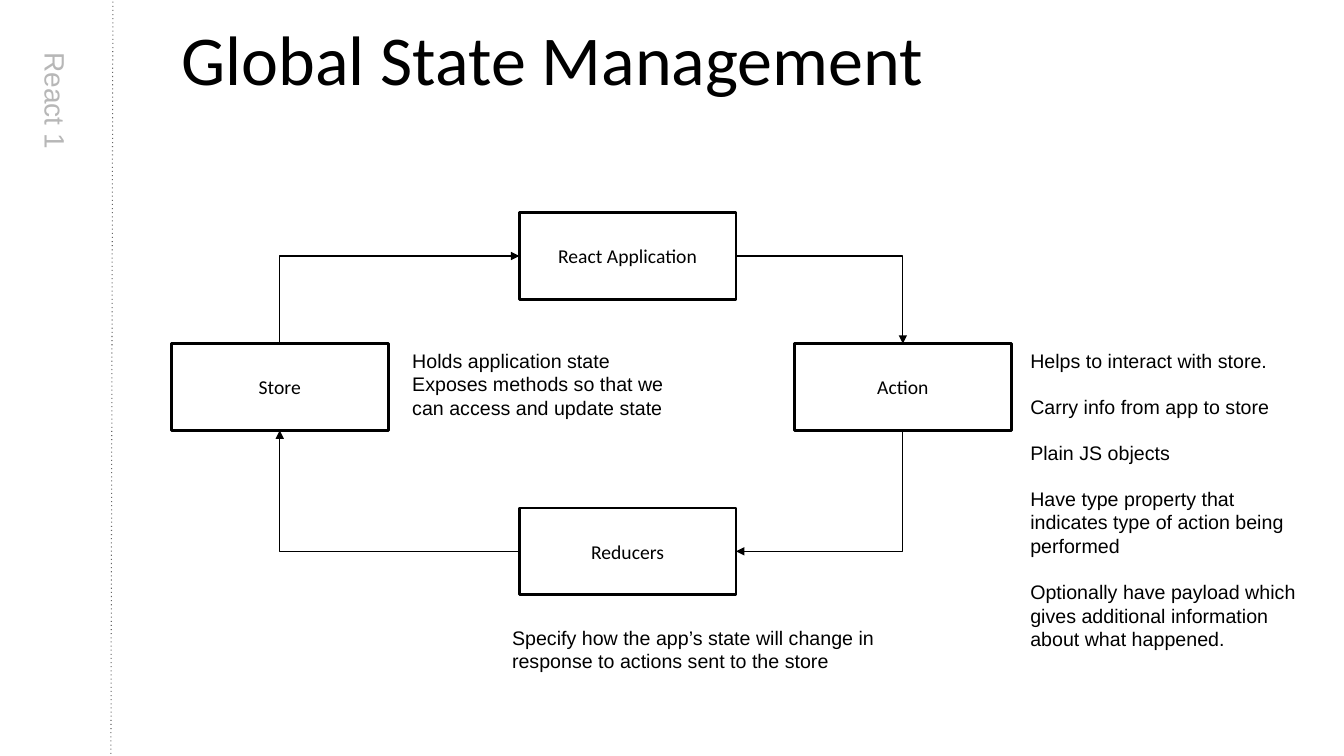
from dataclasses import dataclass

from lxml.etree import SubElement
from pptx import Presentation
from pptx.dml.color import RGBColor as RGB
from pptx.enum.shapes import MSO_CONNECTOR as CONN, MSO_SHAPE as SHAPE
from pptx.enum.text import MSO_ANCHOR as ANCHOR, PP_ALIGN as ALIGN
from pptx.oxml.ns import qn
from pptx.util import Inches, Pt

# Content
TITLE = "Global State Management"
SIDE_LABEL = "React 1"
BOXES = {  # name: (left, top)
    "React Application": (5.15, 2.11),
    "Action": (7.88, 3.41),
    "Reducers": (5.15, 5.04),
    "Store": (1.7, 3.41),
}
BOX_W, BOX_H = 2.15, 0.86
NOTES = [  # (left, top, width, height), gap between paragraphs in points, paragraphs
    ((4.98, 6.16, 4.45, 0.57), 0, [
        "Specify how the app’s state will change in response to actions sent to the store",
    ]),
    ((3.99, 3.41, 2.92, 0.81), 0, [
        "Holds application state",
        "Exposes methods so that we can access and update state",
    ]),
    ((10.12, 3.41, 2.92, 3.64), 16.1, [
        "Helps to interact with store.",
        "Carry info from app to store",
        "Plain JS objects",
        "Have type property that indicates type of action being performed",
        "Optionally have payload which gives additional information about what happened.",
    ]),
]
TOP, LEFT, BOTTOM, RIGHT = range(4)  # connection sites of a rectangle
EXITS = [RIGHT, BOTTOM, LEFT, TOP]  # side each box is left by, clockwise
ENTRIES = [TOP, RIGHT, BOTTOM, LEFT]  # side the next box is entered by


@dataclass(frozen=True)
class Theme:
    ink: RGB = RGB(0, 0, 0)
    paper: RGB = RGB(255, 255, 255)
    muted: RGB = RGB(0xB7, 0xB7, 0xB7)
    rule: RGB = RGB(0x66, 0x66, 0x66)
    heading_font: str = "Calibri"
    body_font: str = "Arial"
    title_size: int = 50
    side_size: int = 20
    text_size: int = 14


T = Theme()


def set_font(p, name, size, color=T.ink):
    p.font.name, p.font.size = name, Pt(size)
    p.font.color.rgb = color


def add_text(slide, area, paragraphs, size=T.text_size, color=T.ink, gap=0):
    sp = slide.shapes.add_textbox(*map(Inches, area))
    tf = sp.text_frame
    tf.word_wrap = True
    tf.text = "\n".join(paragraphs)
    for i, p in enumerate(tf.paragraphs):
        set_font(p, T.body_font, size, color)
        if i and gap:
            p.space_before = Pt(gap)
    return sp


def add_box(slide, name, left, top):
    sp = slide.shapes.add_shape(SHAPE.RECTANGLE, *map(Inches, (left, top, BOX_W, BOX_H)))
    sp.shadow.inherit = False
    sp.fill.solid()
    sp.fill.fore_color.rgb = T.paper
    sp.line.color.rgb, sp.line.width = T.ink, Pt(2)
    tf = sp.text_frame
    tf.text, tf.vertical_anchor = name, ANCHOR.MIDDLE
    p = tf.paragraphs[0]
    p.alignment = ALIGN.CENTER
    set_font(p, T.heading_font, T.text_size)
    return sp


def add_line(slide, kind, color, ends, mark, value):
    """Draw a thin connector; mark is the extra line element (dash or arrowhead)."""
    cn = slide.shapes.add_connector(kind, *map(Inches, ends))
    cn.line.color.rgb, cn.line.width = color, Pt(0.75)
    tag, attr = mark
    SubElement(cn.line._get_or_add_ln(), qn(tag)).set(attr, value)
    SubElement(cn._element.spPr, qn("a:effectLst"))
    return cn


def add_arrow(slide, start, end, turn):
    """Join two boxes by a one-bend arrow, turned by quarter turns clockwise."""
    cn = add_line(slide, CONN.ELBOW, T.ink, (0, 0, 0, 0), ("a:tailEnd", "type"), "triangle")
    cn.begin_connect(start, EXITS[turn])
    cn.end_connect(end, ENTRIES[turn])
    mid_x, mid_y = (cn.begin_x + cn.end_x) // 2, (cn.begin_y + cn.end_y) // 2
    w, h = cn.width, cn.height
    if turn % 2:  # the frame is stored unrotated, around the same centre
        w, h = h, w
    cn.left, cn.top, cn.width, cn.height = mid_x - w // 2, mid_y - h // 2, w, h
    sp_pr = cn._element.spPr
    sp_pr.find(qn("a:prstGeom")).set("prst", "bentConnector2")
    xfrm = sp_pr.find(qn("a:xfrm"))
    xfrm.flipH = xfrm.flipV = False
    xfrm.set("rot", str(turn * 90 * 60000))


def main():
    prs = Presentation()
    prs.slide_width, prs.slide_height = Inches(13.33), Inches(7.5)
    slide = prs.slides.add_slide(prs.slide_layouts[5])

    # Side strip
    side = add_text(slide, (-1.65, 2.55, 4.4, 0.34), [SIDE_LABEL], T.side_size, T.muted)
    side.rotation = 90
    tf = side.text_frame
    tf.margin_left = tf.margin_right = tf.margin_top = tf.margin_bottom = 0
    add_line(slide, CONN.STRAIGHT, T.rule, (1.1, 7.52, 1.12, 0), ("a:prstDash", "val"), "dot")

    # Title
    title = slide.shapes.title
    title.left, title.top, title.width, title.height = map(Inches, (1.7, 0.07, 11.5, 1))
    title.text_frame.text = TITLE
    title.text_frame.vertical_anchor = ANCHOR.MIDDLE
    p = title.text_frame.paragraphs[0]
    p.alignment = ALIGN.LEFT
    set_font(p, T.heading_font, T.title_size)

    # Cycle of boxes, with notes beside them
    boxes = [add_box(slide, name, *at) for name, at in BOXES.items()]
    for area, gap, paragraphs in NOTES:
        add_text(slide, area, paragraphs, gap=gap)
    for turn, start in enumerate(boxes):
        add_arrow(slide, start, boxes[(turn + 1) % len(boxes)], turn)

    prs.save("out.pptx")


if __name__ == "__main__":
    main()
